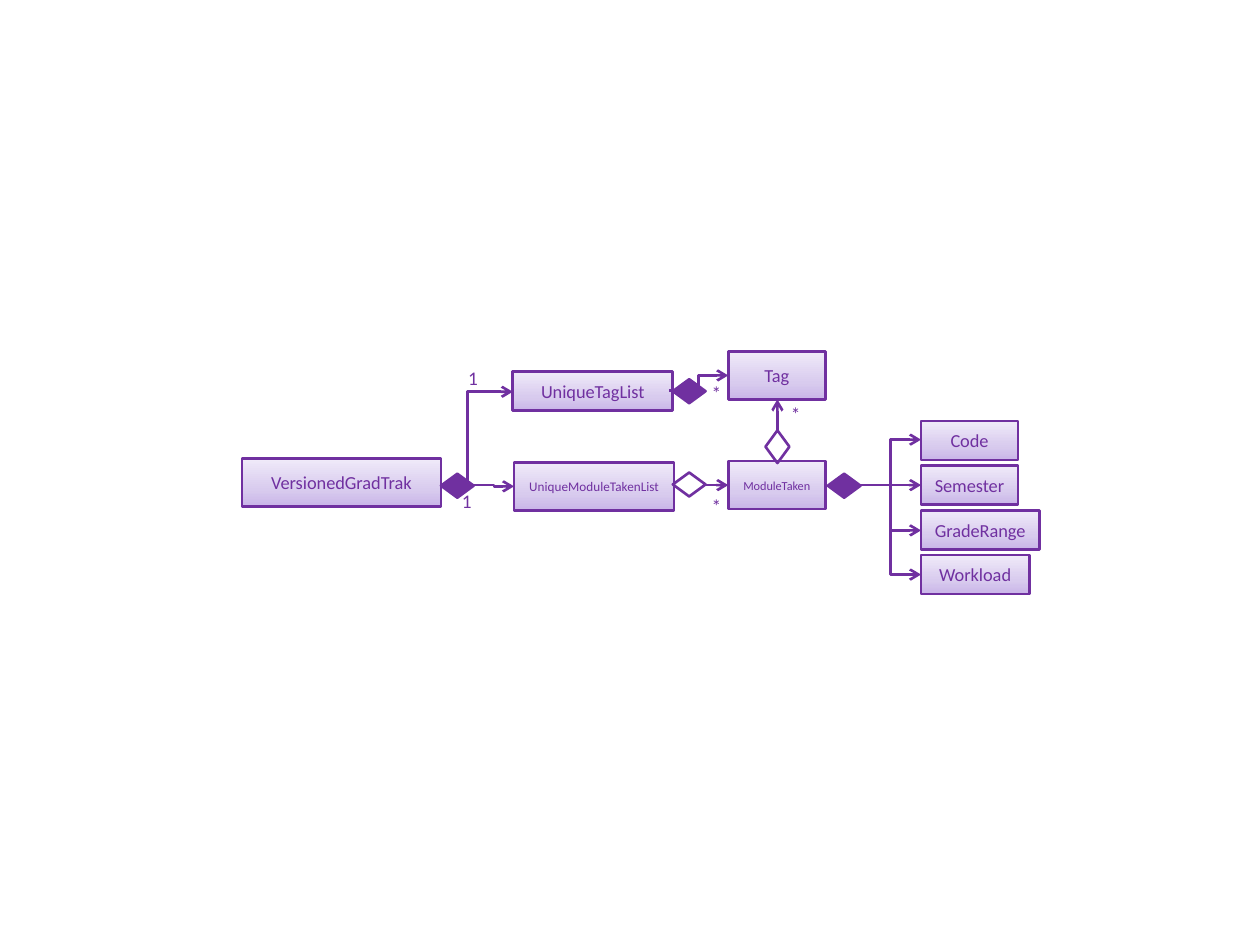
import copy
from typing import NamedTuple

import lxml.etree
import pptx
import pptx.dml.color
import pptx.enum.shapes
import pptx.enum.text
import pptx.oxml.ns
import pptx.util

Inches = pptx.util.Inches
Kind = pptx.enum.shapes.MSO_SHAPE
Link = pptx.enum.shapes.MSO_CONNECTOR
Anchor = pptx.enum.text.MSO_ANCHOR
qn = pptx.oxml.ns.qn

INK = "7030A0"
FADE = [(0, "C9B5E8"), (0.35, "D8CBEE"), (1, "F0EAF9")]


class Box(NamedTuple):
    text: str
    left: float
    top: float
    width: float
    height: float = 0.38
    size: float = 10.5


class Gem(NamedTuple):
    left: float
    top: float
    solid: bool
    turn: float = 0


class Wire(NamedTuple):
    start: tuple[float, float]
    end: tuple[float, float]


class Mark(NamedTuple):
    text: str
    left: float
    top: float


def tint(code: str):
    return pptx.dml.color.RGBColor.from_string(code)


def write(shape, text: str, *, size: float, pad: float = 0, anchor=Anchor.TOP) -> None:
    frame = shape.text_frame
    frame.word_wrap = True
    frame.vertical_anchor = anchor
    frame.margin_left = frame.margin_right = Inches(pad)
    frame.margin_top = frame.margin_bottom = Inches(pad)
    para = frame.paragraphs[0]
    para.alignment = pptx.enum.text.PP_ALIGN.CENTER
    run = para.add_run()
    run.text = text
    run.font.name = "Calibri"
    run.font.size = pptx.util.Pt(size)
    run.font.color.rgb = tint(INK)


def edge(shape) -> None:
    shape.line.color.rgb = tint(INK)
    shape.line.width = pptx.util.Pt(1.5)


def draw_box(slide, box: Box) -> None:
    shape = slide.shapes.add_shape(
        Kind.RECTANGLE, Inches(box.left), Inches(box.top),
        Inches(box.width), Inches(box.height))
    shape.shadow.inherit = False
    shape.fill.gradient()
    shape.fill.gradient_angle = 90
    stops = shape._element.spPr.find(".//" + qn("a:gsLst"))
    stops.insert(1, copy.deepcopy(stops[0]))
    for stop, (place, code) in zip(shape.fill.gradient_stops, FADE):
        stop.position = place
        stop.color.rgb = tint(code)
    edge(shape)
    write(shape, box.text, size=box.size, pad=0.05, anchor=Anchor.MIDDLE)


def draw_gem(slide, gem: Gem) -> None:
    shape = slide.shapes.add_shape(
        Kind.FLOWCHART_DECISION, Inches(gem.left), Inches(gem.top),
        Inches(0.26), Inches(0.19))
    shape.shadow.inherit = False
    shape.rotation = gem.turn
    if gem.solid:
        shape.fill.solid()
        shape.fill.fore_color.rgb = tint(INK)
    else:
        shape.fill.background()
    edge(shape)


def draw_wire(slide, wire: Wire):
    level = wire.start[0] == wire.end[0] or wire.start[1] == wire.end[1]
    line = slide.shapes.add_connector(
        Link.STRAIGHT if level else Link.ELBOW,
        *(Inches(n) for n in wire.start + wire.end))
    edge(line)
    props = line._element.spPr
    lxml.etree.SubElement(props.find(qn("a:ln")), qn("a:tailEnd"), type="arrow")
    lxml.etree.SubElement(props, qn("a:effectLst"))
    return line


def draw_turn(slide, wire: Wire) -> None:
    (x1, y1), (x2, y2) = wire
    midx, midy = (x1 + x2) / 2, (y1 + y2) / 2
    dx, dy = (y1 - y2) / 2, (x2 - x1) / 2
    line = draw_wire(slide, Wire((midx + dx, midy + dy), (midx - dx, midy - dy)))
    props = line._element.spPr
    props.find(qn("a:xfrm")).set("rot", "5400000")
    props.find(qn("a:prstGeom")).set("prst", "bentConnector2")


def draw_mark(slide, mark: Mark) -> None:
    shape = slide.shapes.add_textbox(
        Inches(mark.left), Inches(mark.top), Inches(0.21), Inches(0.2))
    write(shape, mark.text, size=11)


PARTS = [("Code", 0.77), ("Semester", 0.77), ("GradeRange", 0.94), ("Workload", 0.86)]
TOP, STEP, TALL = 3.34, 0.355, 0.31
HUB = (6.83, 3.85)

BOXES = [
    Box("VersionedGradTrak", 1.92, 3.64, 1.58),
    Box("UniqueModuleTakenList", 4.08, 3.67, 1.27, size=7.5),
    Box("ModuleTaken", 5.78, 3.66, 0.77, size=7),
    Box("UniqueTagList", 4.07, 2.95, 1.27, TALL),
    Box("Tag", 5.78, 2.79, 0.77),
] + [Box(text, 7.31, TOP + row * STEP, width, TALL)
     for row, (text, width) in enumerate(PARTS)]

WIRES = [
    Wire((3.76, 3.85), (4.08, 3.86)),
    Wire((5.6, 3.85), (5.78, 3.85)),
    Wire((5.31, 3.1), (5.78, 2.98)),
    Wire((6.17, 3.42), (6.17, 3.17)),
] + [Wire(HUB, (7.31, round(TOP + row * STEP + TALL / 2, 2)))
     for row in range(len(PARTS))]

GEMS = [
    Gem(3.5, 3.76, True),
    Gem(5.34, 3.75, False),
    Gem(6.57, 3.76, True),
    Gem(6.04, 3.45, False, 270),
    Gem(5.34, 3.01, True),
]

MARKS = [
    Mark("1", 3.6, 3.88),
    Mark("1", 3.65, 2.91),
    Mark("*", 5.58, 3.92),
    Mark("*", 5.58, 3.03),
    Mark("*", 6.21, 3.19),
]


def main() -> None:
    deck = pptx.Presentation()
    deck.slide_width, deck.slide_height = Inches(10), Inches(7.5)
    slide = deck.slides.add_slide(deck.slide_layouts[6])
    for box in BOXES:
        draw_box(slide, box)
    for wire in WIRES:
        draw_wire(slide, wire)
    draw_turn(slide, Wire((3.71, 3.88), (4.07, 3.11)))
    for gem in GEMS:
        draw_gem(slide, gem)
    for mark in MARKS:
        draw_mark(slide, mark)
    deck.save("out.pptx")


if __name__ == "__main__":
    main()
